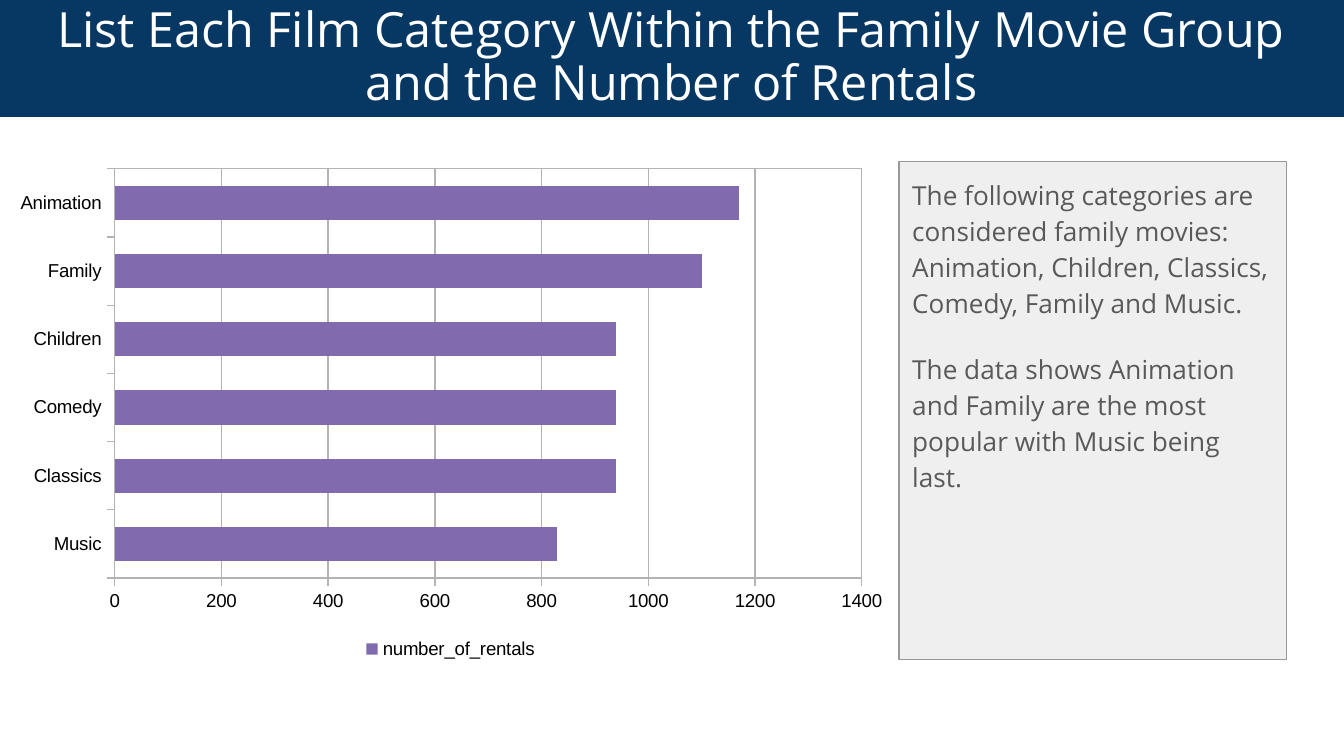
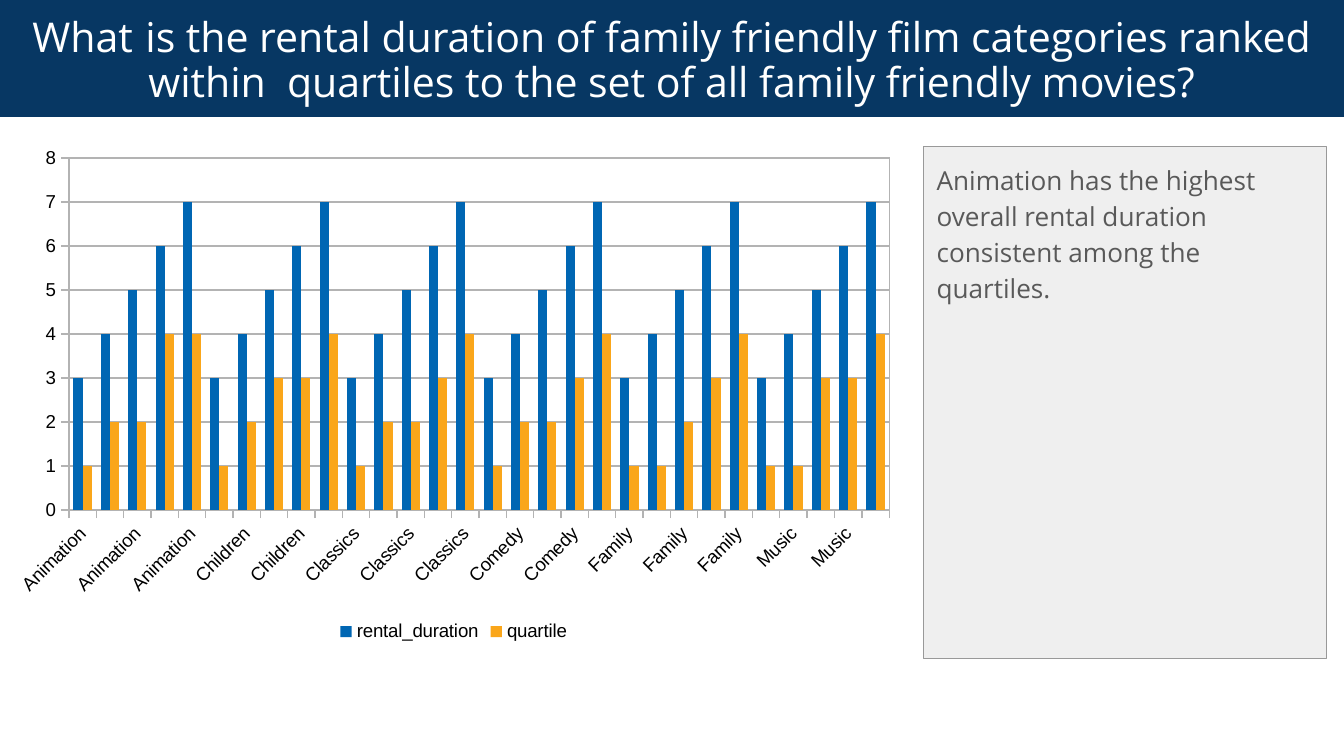
"""Build two slides that chart family film rentals beside a short comment."""
from lxml import etree
from pptx import Presentation
from pptx.chart.data import CategoryChartData
from pptx.dml.color import RGBColor
from pptx.enum.chart import XL_CHART_TYPE as ChartType, XL_LEGEND_POSITION as LegendPosition, XL_TICK_MARK as TickMark
from pptx.enum.text import MSO_ANCHOR as Anchor, MSO_AUTO_SIZE as AutoSize, PP_ALIGN as Align
from pptx.oxml import parse_xml
from pptx.oxml.ns import nsdecls, qn
from pptx.util import Cm, Pt

COLORS = {
    "band": "073763", "title": "FFFFFF", "panel": "EFEFEF", "border": "999999", "body": "595959",
    "label": "000000", "grid": "B3B3B3", "purple": "826AAF", "blue": "0066B3", "orange": "FAA61A",
}
FAMILY_CATEGORIES = ["Animation", "Children", "Classics", "Comedy", "Family", "Music"]

SLIDES = [
    {
        "title": [("List Each Film Category Within the Family Movie Group and the Number of Rentals", 26)],
        "comments": [
            "The following categories are considered family movies: "
            "Animation, Children, Classics, Comedy, Family and Music.",
            "The data shows Animation and Family are the most popular with Music being last.",
        ],
        "panel": (16.99, 3.05, 7.32, 9.42),
        "chart": (0.03, 3.02, 16.97, 9.55),
        "plot": {"x": 0.126, "y": 0.018, "w": 0.832, "h": 0.81},
        "type": ChartType.BAR_CLUSTERED,
        "categories": ["Music", "Classics", "Comedy", "Children", "Family", "Animation"],
        "series": [("number_of_rentals", [830, 940, 940, 940, 1100, 1170], "purple")],
        "maximum": 1400, "step": 200, "rotation": 0,
    },
    {
        "title": [
            ("What", 22), (" ", 26),
            ("is the rental duration of family friendly film categories ranked "
             "within  quartiles to the set of all family friendly movies?", 22),
        ],
        "comments": ["Animation has the highest overall rental duration consistent among the quartiles."],
        "panel": (17.45, 2.77, 7.62, 9.68),
        "chart": (0, 2.59, 17.15, 9.65),
        "plot": {"x": 0.076, "y": 0.041, "w": 0.904, "h": 0.69},
        "type": ChartType.COLUMN_CLUSTERED,
        "categories": [name for name in FAMILY_CATEGORIES for _ in range(5)],
        "series": [
            ("rental_duration", [3, 4, 5, 6, 7] * len(FAMILY_CATEGORIES), "blue"),
            ("quartile", [1, 2, 2, 4, 4, 1, 2, 3, 3, 4, 1, 2, 2, 3, 4,
                          1, 2, 2, 3, 4, 1, 1, 2, 3, 4, 1, 1, 3, 3, 4], "orange"),
        ],
        "maximum": 8, "step": 1, "rotation": -45,
    },
]


def color(name):
    return RGBColor.from_string(COLORS[name])


def place_box(shape, box, fill, anchor):
    shape.left, shape.top, shape.width, shape.height = (Cm(length) for length in box)
    shape.fill.solid()
    shape.fill.fore_color.rgb = color(fill)
    frame = shape.text_frame
    frame.word_wrap = True
    frame.auto_size = AutoSize.NONE
    frame.vertical_anchor = anchor
    frame.margin_left = frame.margin_right = frame.margin_top = frame.margin_bottom = Cm(0.25)
    return frame


presentation = Presentation()
presentation.slide_width = Cm(25.4)
presentation.slide_height = Cm(14.29)

for content in SLIDES:
    slide = presentation.slides.add_slide(presentation.slide_layouts[1])

    panel = slide.placeholders[1]
    frame = place_box(panel, content["panel"], "panel", Anchor.TOP)
    panel.line.color.rgb = color("border")
    panel.line.width = Pt(0.75)
    for index, comment in enumerate(content["comments"]):
        paragraph = frame.paragraphs[0] if index == 0 else frame.add_paragraph()
        paragraph.text = comment
        properties = paragraph._p.get_or_add_pPr()
        properties.set("marL", "0")
        properties.set("indent", "0")
        etree.SubElement(properties, qn("a:buNone"))
        paragraph.line_spacing = 1.15
        paragraph.space_before = Pt(0)
        paragraph.space_after = Pt(16)
        paragraph.font.name = "Open Sans"
        paragraph.font.size = Pt(14)
        paragraph.font.color.rgb = color("body")

    frame = place_box(slide.shapes.title, (0, 0, 25.4, 2.21), "band", Anchor.MIDDLE)
    paragraph = frame.paragraphs[0]
    paragraph.alignment = Align.CENTER
    paragraph.line_spacing = 0.9
    paragraph.font.name = "Open Sans"
    paragraph.font.color.rgb = color("title")
    for text, size in content["title"]:
        run = paragraph.add_run()
        run.text = text
        run.font.size = Pt(size)

    chart_data = CategoryChartData()
    chart_data.categories = content["categories"]
    for name, values, _ in content["series"]:
        chart_data.add_series(name, values)
    box = [Cm(length) for length in content["chart"]]
    chart = slide.shapes.add_chart(content["type"], *box, chart_data).chart
    chart.has_title = False
    chart.font.name = "Arial"
    chart.font.size = Pt(10)
    chart.font.color.rgb = color("label")
    chart.has_legend = True
    chart.legend.position = LegendPosition.BOTTOM
    chart.legend.include_in_layout = False

    plot = chart.plots[0]
    plot.gap_width = 100
    plot.overlap = 0
    plot.vary_by_categories = False
    for series, (_, _, fill) in zip(plot.series, content["series"]):
        series.format.fill.solid()
        series.format.fill.fore_color.rgb = color(fill)

    value_axis, category_axis = chart.value_axis, chart.category_axis
    value_axis.minimum_scale = 0
    value_axis.maximum_scale = content["maximum"]
    value_axis.major_unit = content["step"]
    value_axis.has_major_gridlines = True
    for axis in (value_axis, category_axis):
        axis.major_tick_mark = TickMark.OUTSIDE
        axis.tick_labels.font.size = Pt(10)
    for line in (value_axis.format.line, category_axis.format.line, value_axis.major_gridlines.format.line):
        line.color.rgb = color("grid")
        line.width = Pt(0)
    category_axis._element.txPr.find(qn("a:bodyPr")).set("rot", str(content["rotation"] * 60000))

    plot_area = chart._chartSpace.chart.plotArea
    for layout in plot_area.findall(qn("c:layout")):
        plot_area.remove(layout)
    positions = "".join(f'<c:{key} val="{value}"/>' for key, value in content["plot"].items())
    plot_area.insert(0, parse_xml(
        f'<c:layout {nsdecls("c")}><c:manualLayout><c:layoutTarget val="inner"/>'
        f'<c:xMode val="edge"/><c:yMode val="edge"/>{positions}</c:manualLayout></c:layout>'))
    plot_area.append(parse_xml(
        f'<c:spPr {nsdecls("c", "a")}><a:noFill/><a:ln w="0"><a:solidFill>'
        f'<a:srgbClr val="{COLORS["grid"]}"/></a:solidFill></a:ln></c:spPr>'))

presentation.save("out.pptx")
